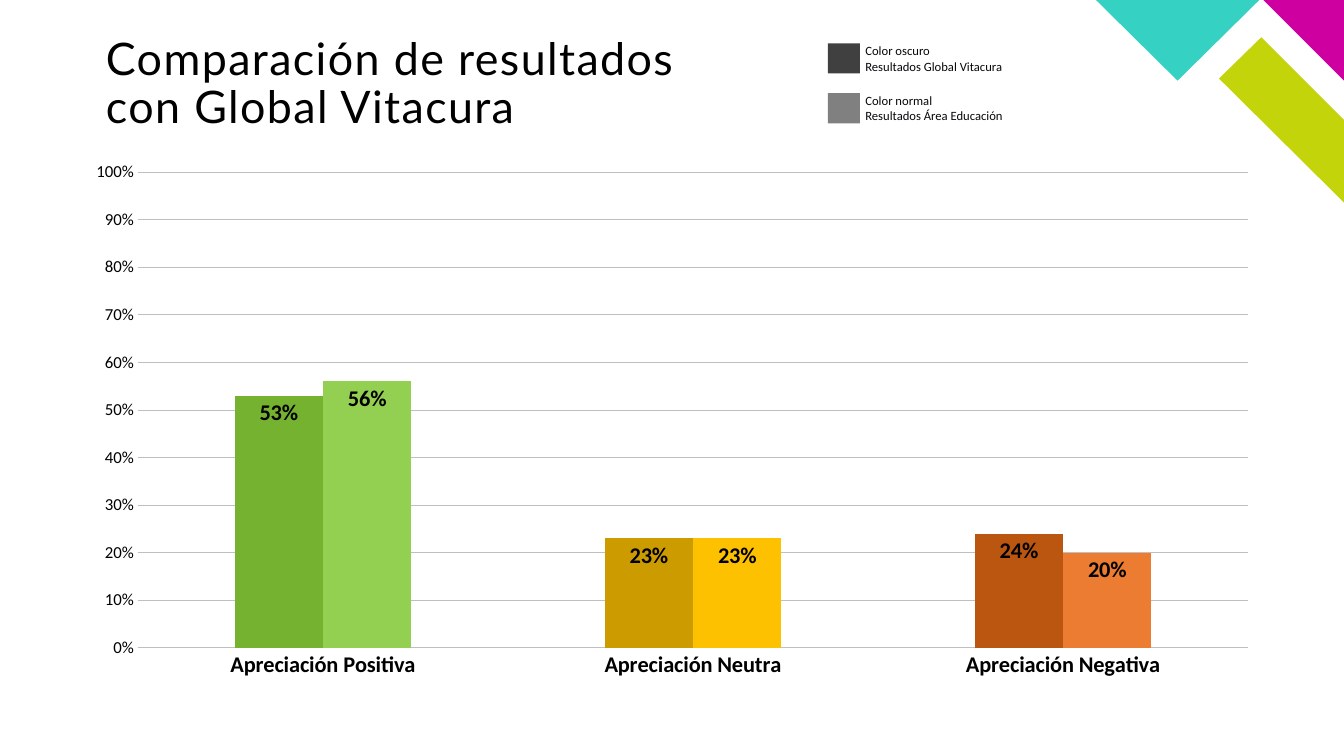
from lxml import etree
from pptx import Presentation
from pptx import util as u
from pptx.chart.data import CategoryChartData
from pptx.dml.color import RGBColor
from pptx.enum import chart as charts, shapes, text
from pptx.oxml import parse_xml
from pptx.oxml.ns import nsdecls, qn

COLORS = {
    "black": "000000", "legend": "07080B", "rule": "BFBFBF",
    "dark": "404040", "normal": "808080",
    "lime": "C4D40A", "magenta": "CE009F", "teal": "35D2C4",
}
CATEGORIES = ["Apreciación Positiva", "Apreciación Neutra", "Apreciación Negativa"]
SERIES = [
    ("Global Vitacura", [0.53, 0.23, 0.24], ["74B230", "CC9B00", "BB5611"]),
    ("Área Educación", [0.56, 0.23, 0.2], ["93D051", "FEC100", "EC7C31"]),
]
LEGEND = [
    ("dark", ["Color oscuro", "Resultados Global Vitacura"]),
    ("normal", ["Color normal", "Resultados Área Educación"]),
]
# Corner outlines, in percent of the slide's width and height
CORNER = [
    ("lime", [(100, 26.8), (100, 15.87), (93.85, 4.93), (90.7, 10.4)]),
    ("magenta", [(100, 10.67), (100, 0), (94, 0)]),
    ("teal", [(81.55, 0), (87.62, 10.67), (93.7, 0)]),
]


def color(value):
    return RGBColor.from_string(COLORS.get(value, value))


class SlideBuilder:
    """Places styled elements; lengths are percents of the slide's size."""

    def __init__(self, presentation):
        self.width = presentation.slide_width
        self.height = presentation.slide_height
        self.slide = presentation.slides.add_slide(presentation.slide_layouts[5])

    def point(self, x, y):
        return round(self.width * x / 100), round(self.height * y / 100)

    def box(self, x, y, width, height):
        return *self.point(x, y), *self.point(width, height)

    def font(self, font, size, name="Calibri", fill="black", bold=False):
        values = {"size": u.Pt(size), "name": name, "bold": bold}
        for key, value in values.items():
            setattr(font, key, value)
        font.color.rgb = color(fill)

    def paint(self, shape, fill):
        shape.shadow.inherit = False
        shape.fill.solid()
        shape.fill.fore_color.rgb = color(fill)
        shape.line.fill.background()

    def outline(self, fill, points):
        start, *rest = [self.point(*point) for point in points]
        builder = self.slide.shapes.build_freeform(*start)
        builder.add_line_segments(rest, close=True)
        self.paint(builder.convert_to_shape(), fill)

    def rectangle(self, fill, *place):
        shape = self.slide.shapes.add_shape(
            shapes.MSO_SHAPE.RECTANGLE, *self.box(*place))
        self.paint(shape, fill)

    def title(self, words, *place):
        title = self.slide.shapes.title
        title.left, title.top, title.width, title.height = self.box(*place)
        frame = title.text_frame
        frame.text = words
        values = {"margin_left": 0, "margin_right": 0, "margin_top": 0,
                  "margin_bottom": 0, "word_wrap": True,
                  "auto_size": text.MSO_AUTO_SIZE.NONE,
                  "vertical_anchor": text.MSO_ANCHOR.TOP}
        for key, value in values.items():
            setattr(frame, key, value)
        paragraph = frame.paragraphs[0]
        paragraph.alignment = text.PP_ALIGN.LEFT
        paragraph.line_spacing = 0.9
        run = paragraph.runs[0]
        self.font(run.font, 32, "Lato")
        run.font._element.set("spc", "100")

    def text(self, lines, *place):
        frame = self.slide.shapes.add_textbox(*self.box(*place)).text_frame
        frame.word_wrap = True
        frame.text = "\n".join(lines)
        for paragraph in frame.paragraphs:
            self.font(paragraph.runs[0].font, 9, fill="legend")

    def chart(self, categories, series, plot_area, *place):
        data = CategoryChartData(number_format="0%")
        data.categories = categories
        for name, values, _ in series:
            data.add_series(name, values)
        chart = self.slide.shapes.add_chart(
            charts.XL_CHART_TYPE.COLUMN_CLUSTERED, *self.box(*place), data).chart
        chart.has_legend = chart.has_title = False
        self.font(chart.font, 10)
        self.axes(chart)
        plot = chart.plots[0]
        plot.gap_width, plot.overlap, plot.vary_by_categories = 219, 0, False
        for bars, (_, _, fills) in zip(plot.series, series):
            for index, fill in enumerate(fills):
                bars.points[index].format.fill.solid()
                bars.points[index].format.fill.fore_color.rgb = color(fill)
            labels = bars.data_labels
            values = {"show_value": True, "number_format": "0%",
                      "number_format_is_linked": False,
                      "position": charts.XL_LABEL_POSITION.INSIDE_END}
            for key, value in values.items():
                setattr(labels, key, value)
            self.font(labels.font, 16, bold=True)
        self.fix_plot_area(chart, plot_area)

    def axes(self, chart):
        category, value = chart.category_axis, chart.value_axis
        for axis in (category, value):
            axis.major_tick_mark = axis.minor_tick_mark = charts.XL_TICK_MARK.NONE
        self.font(category.tick_labels.font, 16, bold=True)
        self.font(value.tick_labels.font, 12)
        limits = {"minimum_scale": 0, "maximum_scale": 1, "major_unit": 0.1,
                  "has_major_gridlines": True}
        for key, limit in limits.items():
            setattr(value, key, limit)
        value.tick_labels.number_format = "0%"
        value.tick_labels.number_format_is_linked = False
        value.format.line.fill.background()
        rules = [(category.format.line, 0.75), (value.major_gridlines.format.line, 0.5)]
        for line, width in rules:
            line.color.rgb = color("rule")
            line.width = u.Pt(width)

    def fix_plot_area(self, chart, shares):
        """Sets the inner plot area, in percent of the chart's size."""
        area = chart.element.find(".//" + qn("c:plotArea"))
        for old in area.findall(qn("c:layout")):
            area.remove(old)
        layout = parse_xml(f"<c:layout {nsdecls('c')}><c:manualLayout/></c:layout>")
        values = {"layoutTarget": "inner", "xMode": "edge", "yMode": "edge"}
        values.update(zip("xywh", (str(share / 100) for share in shares)))
        for key, value in values.items():
            etree.SubElement(layout[0], qn("c:" + key)).set("val", value)
        area.insert(0, layout)


def main():
    presentation = Presentation()
    presentation.slide_width = u.Inches(13.33)
    presentation.slide_height = u.Inches(7.5)
    builder = SlideBuilder(presentation)
    for fill, points in CORNER:
        builder.outline(fill, points)
    builder.title("Comparación de resultados con Global Vitacura", 7.88, 4.8, 44.4, 8.93)
    builder.chart(CATEGORIES, SERIES, (5.45, 3.86, 92.54, 88.4), 5.4, 20, 89.27, 71.2)
    for row, (fill, lines) in enumerate(LEGEND):
        offset = row * 6.6
        builder.rectangle(fill, 61.59, 5.73 + offset, 2.4, 4)
        builder.text(lines, 63.65, 5.07 + offset, 23.9, 5.33)
    presentation.save("out.pptx")


if __name__ == "__main__":
    main()
